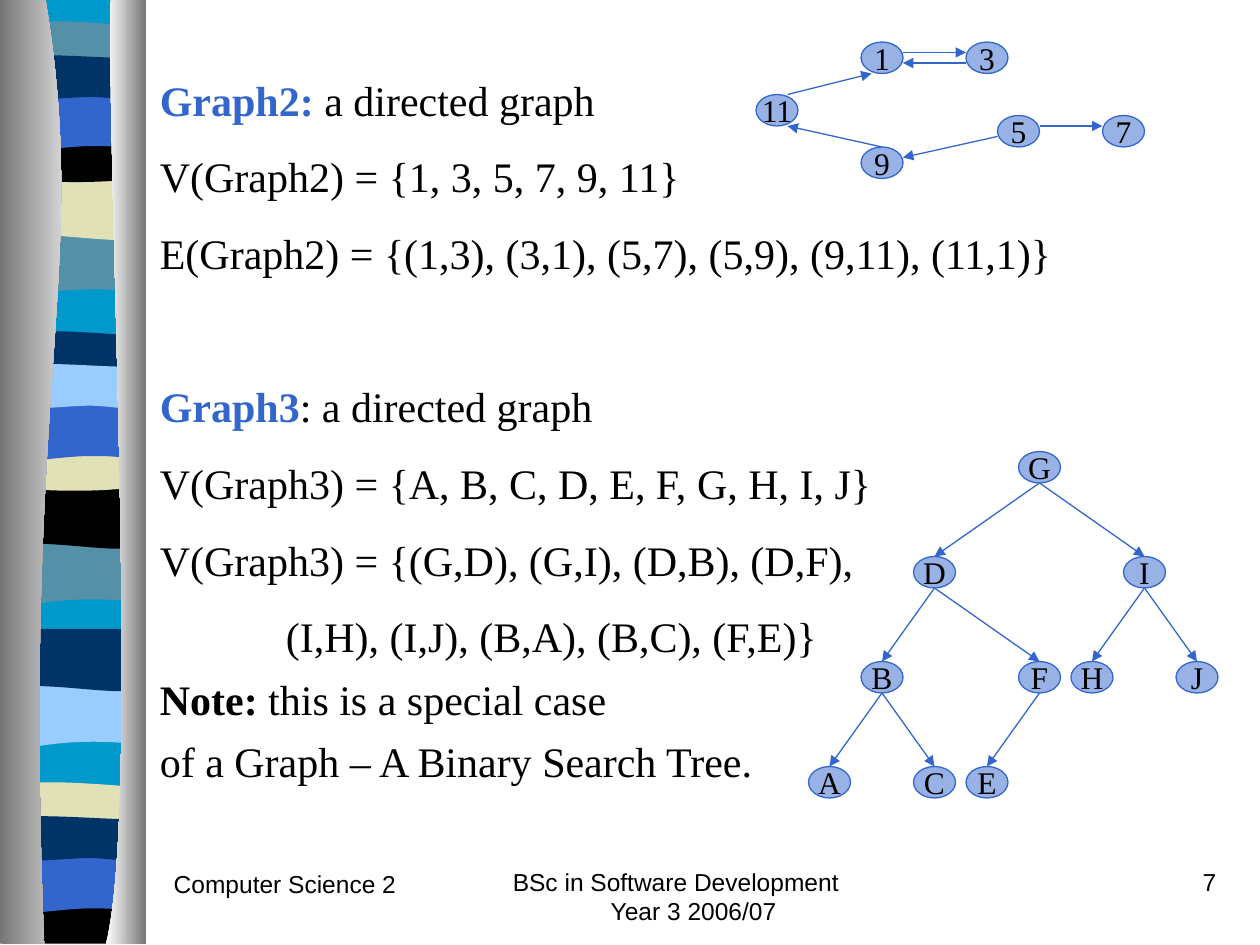
from lxml import etree
from pptx import Presentation
from pptx import util as u
from pptx.dml.color import RGBColor
from pptx.enum import shapes, text
from pptx.oxml.ns import qn

THEME = {
    "cyan": "0099CC", "steel": "5490A8", "navy": "003366", "blue": "3366CC",
    "black": "000000", "sand": "E1E1B7", "sky": "99CCFF",
    "shade": "767676", "white": "FFFFFF",
    "serif": "Times New Roman", "sans": "Arial",
    "body": 24, "label": 18, "footer": 14,
}

# Ribbon outlines: a pair is a corner, a triple of pairs is a curve
W = 1.08
OUTLINES = {
    "base": [(W, 0), (W, 7.48), (0, 7.48), (0, 0)],
    "wave": [(W, 0), (W, 0.47), ((0.33, 0.39), (0.18, 0.55), (0, 0.47)), (0, 0)],
    "swell": [(W, 0), (W, 0.47), ((0.9, 0.55), (0.33, 0.41), (0, 0.47)), (0, 0)],
    "arch": [(W, 0.05), (W, 0.29), ((0.9, 0.33), (0.18, 0.33), (0, 0.29)), (0, 0.05),
             ((0.07, 0), (0.23, 0.01), (0.41, 0.01)),
             ((0.59, 0.01), (0.94, 0.04), (W, 0.05))],
    "bowl": [(W, 0), (W, 0.32), ((0.9, 0.38), (0.18, 0.38), (0, 0.32)), (0, 0),
             ((0.66, 0.05), (0.85, 0), (W, 0))],
    "tent": [(W, 0), (W, 0.47), ((0.91, 0.42), (0.84, 0.42), (0.66, 0.42)),
             ((0.48, 0.42), (0.16, 0.47), (0, 0.47)), (0, 0)],
    "flag": [(W, 0.05), (W, 0.36), ((1.01, 0.41), (0.84, 0.36), (0.66, 0.36)),
             ((0.48, 0.36), (0.11, 0.41), (0, 0.36)), (0, 0.05),
             ((0.15, 0), (0.73, 0.05), (0.91, 0.05)),
             ((1.09, 0.05), (1.04, 0.05), (W, 0.05))],
    "floor": [(W, 0), (W, 0.37), (0.01, 0.37), (0, 0),
              ((0.66, 0.05), (0.85, 0), (W, 0))],
}
# Bands from back to front: outline, colour, left, top
BANDS = [
    ("base", "cyan", 0.06, -0.01),
    ("wave", "steel", 0.06, 1.85), ("swell", "sand", 0.06, 1.41),
    ("arch", "steel", 0.06, 0.16), ("bowl", "black", 0.06, 1.08),
    ("tent", "blue", 0.06, 0.74), ("flag", "navy", 0.06, 0.41),
    ("wave", "steel", 0.05, 4.31), ("swell", "black", 0.05, 3.86),
    ("arch", "navy", 0.05, 2.62), ("bowl", "sand", 0.05, 3.53),
    ("tent", "blue", 0.05, 3.2), ("flag", "sky", 0.05, 2.86),
    ("wave", "sky", 0.06, 5.44), ("swell", "navy", 0.06, 4.99),
    ("arch", "sand", 0.05, 6.2), ("floor", "black", 0.05, 7.12),
    ("tent", "blue", 0.05, 6.79), ("flag", "navy", 0.05, 6.45),
]
# Grey sides: outline, colours from left to right
SIDES = [
    ([(0.36, -0.01), ((0.72, 2.16), (0.17, 2.96), (0.35, 7.49)),
      (0, 7.49), (0, -0.01)], ("shade", "white")),
    ([(0.88, -0.01), ((0.84, 1.25), (1.12, 6.46), (0.84, 7.49)),
      (1.16, 7.49), (1.16, -0.01)], ("white", "shade")),
]

# Body lines: runs as (words, bold, colour), space before, line spacing, indent
BODY = [
    ([("Graph2:", True, "blue"), (" a directed graph", False, "black")], 0, 1, 0),
    ([("V(Graph2) = {1, 3, 5, 7, 9, 11}", False, "black")], 15, 1, 0),
    ([("E(Graph2) = {(1,3), (3,1), (5,7), (5,9), (9,11), (11,1)}", False, "black")],
     15, 1, 0),
    ([("Graph3", True, "blue"), (": a directed graph", False, "black")], 58.75, 1, 0),
    ([("V(Graph3) = {A, B, C, D, E, F, G, H, I, J}", False, "black")], 15, 1, 0),
    ([("V(Graph3) = {(G,D), (G,I), (D,B), (D,F),", False, "black")], 15, 1, 0),
    ([("(I,H), (I,J), (B,A), (B,C), (F,E)}", False, "black")], 15, 1, 1),
    ([("Note:", True, "black"), (" this is a special case", False, "black")],
     15, 0.7, 0),
    ([("of a Graph – A Binary Search Tree.", False, "black")], 15, 0.7, 0),
]
# Footer: left, top, width, alignment, lines as (words, right indent)
FOOTER = [
    (1.28, 6.85, 2.08, text.PP_ALIGN.LEFT, [("Computer Science 2", 0)]),
    (3.92, 6.83, 3.17, text.PP_ALIGN.CENTER,
     [("BSc in Software Development", 0.28), ("Year 3 2006/07", 0)]),
    (7.67, 6.83, 2.08, text.PP_ALIGN.RIGHT, [("7", 0)]),
]

# Graphs lie on a grid of twelfths of an inch; nodes give left and top
NODE_W, NODE_H = 4, 3
GRAPH2 = {"7": (105, 11), "5": (95, 11), "9": (82, 14),
          "11": (72, 9), "3": (92, 4), "1": (82, 4)}
GRAPH2_ARROWS = [((86, 5), (92, 5)), ((92, 6), (86, 6)), ((84, 14), (75, 12)),
                 ((95, 13), (86, 15)), ((99, 12), (105, 12)), ((75, 9), (83, 7))]
TREE_LEVELS = [(43, {"G": 97}), (53, {"D": 87, "I": 107}),
               (63, {"B": 82, "F": 97, "H": 102, "J": 112}),
               (73, {"A": 77, "C": 87, "E": 92})]
TREE_EDGES = ["GD", "GI", "DB", "DF", "IH", "IJ", "BA", "BC", "FE"]


def color(name):
    return RGBColor.from_string(THEME[name])


def grid(steps):
    return u.Inches(steps / 12)


def add_outline(page, outline, left=0, top=0):
    """Draw a closed outline whose triples become cubic curves."""
    parts = [part if isinstance(part[0], tuple) else (part,) for part in outline]
    points = [(u.Inches(left + x), u.Inches(top + y)) for part in parts for x, y in part]
    builder = page.shapes.build_freeform(*points[0], scale=1.0)
    builder.add_line_segments(points[1:], close=True)
    shape = builder.convert_to_shape()
    lines = iter(list(shape.element.iter(qn("a:lnTo"))))
    for part in parts[1:]:
        group = [next(lines) for _ in part]
        if len(group) == 3:
            bend = etree.Element(qn("a:cubicBezTo"))
            group[0].addprevious(bend)
            for line in group:
                bend.append(line[0])
                line.getparent().remove(line)
    shape.shadow.inherit = False
    shape.line.fill.background()
    return shape


def add_box(page, left, top, width, height):
    box = page.shapes.add_textbox(*map(u.Inches, (left, top, width, height)))
    box.text_frame.word_wrap = True
    return box.text_frame


def next_para(frame, index):
    return frame.add_paragraph() if index else frame.paragraphs[0]


def style(font, face, size, tone="black"):
    font.name, font.size = THEME[face], u.Pt(THEME[size])
    font.color.rgb = color(tone)


def add_node(page, label, left, top):
    node = page.shapes.add_shape(shapes.MSO_SHAPE.OVAL, grid(left), grid(top),
                                 grid(NODE_W), grid(NODE_H))
    node.shadow.inherit = False
    node.fill.solid()
    node.fill.fore_color.rgb = color("blue")
    tint = node.element.spPr.find(qn("a:solidFill")).find(qn("a:srgbClr"))
    etree.SubElement(tint, qn("a:alpha"), val="50000")
    node.line.color.rgb = color("blue")
    node.line.width = u.Pt(0.75)
    frame = node.text_frame
    frame.word_wrap = False
    frame.vertical_anchor = text.MSO_ANCHOR.MIDDLE
    para = frame.paragraphs[0]
    para.text, para.alignment = label, text.PP_ALIGN.CENTER
    style(para.font, "serif", "label")
    return node


def add_arrow(page, start, end):
    arrow = page.shapes.add_connector(shapes.MSO_CONNECTOR.STRAIGHT,
                                      *map(grid, (*start, *end)))
    arrow.line.color.rgb = color("blue")
    arrow.line.width = u.Pt(0.75)
    properties = arrow.element.spPr
    etree.SubElement(properties.find(qn("a:ln")), qn("a:tailEnd"), type="triangle")
    etree.SubElement(properties, qn("a:effectLst"))
    return arrow


def main():
    deck = Presentation()
    deck.slide_width, deck.slide_height = u.Inches(10), u.Inches(7.5)
    page = deck.slides.add_slide(deck.slide_layouts[6])

    # Ribbon
    for outline, tone, left, top in BANDS:
        band = add_outline(page, OUTLINES[outline], left, top)
        band.fill.solid()
        band.fill.fore_color.rgb = color(tone)
    for outline, tones in SIDES:
        side = add_outline(page, outline)
        side.fill.gradient()
        side.fill.gradient_angle = 0
        for stop, tone in zip(side.fill.gradient_stops, tones):
            stop.color.rgb = color(tone)

    # Footer
    for left, top, width, alignment, lines in FOOTER:
        frame = add_box(page, left, top, width, 0.5)
        for index, (words, indent) in enumerate(lines):
            para = next_para(frame, index)
            para.text, para.alignment = words, alignment
            para._p.get_or_add_pPr().set("marR", str(u.Inches(indent)))
            style(para.font, "sans", "footer")

    # Body text
    frame = add_box(page, 1.17, 0.54, 8.58, 5.74)
    for index, (runs, before, spacing, indent) in enumerate(BODY):
        para = next_para(frame, index)
        para.space_before, para.line_spacing = u.Pt(before), spacing
        if indent:
            para._p.get_or_add_pPr().set("marL", str(u.Inches(indent)))
        for words, bold, tone in runs:
            span = para.add_run()
            span.text, span.font.bold = words, bold
            style(span.font, "serif", "body", tone)

    # Directed graph
    for label, place in GRAPH2.items():
        add_node(page, label, *place)
    for start, end in GRAPH2_ARROWS:
        add_arrow(page, start, end)

    # Binary search tree
    places = {label: (left, top) for top, level in TREE_LEVELS
              for label, left in level.items()}
    nodes = {label: add_node(page, label, *place) for label, place in places.items()}
    for parent, child in TREE_EDGES:
        (x1, y1), (x2, y2) = places[parent], places[child]
        arrow = add_arrow(page, (x1 + NODE_W / 2, y1 + NODE_H), (x2 + NODE_W / 2, y2))
        arrow.end_connect(nodes[child], 0)

    deck.save("out.pptx")


if __name__ == "__main__":
    main()
